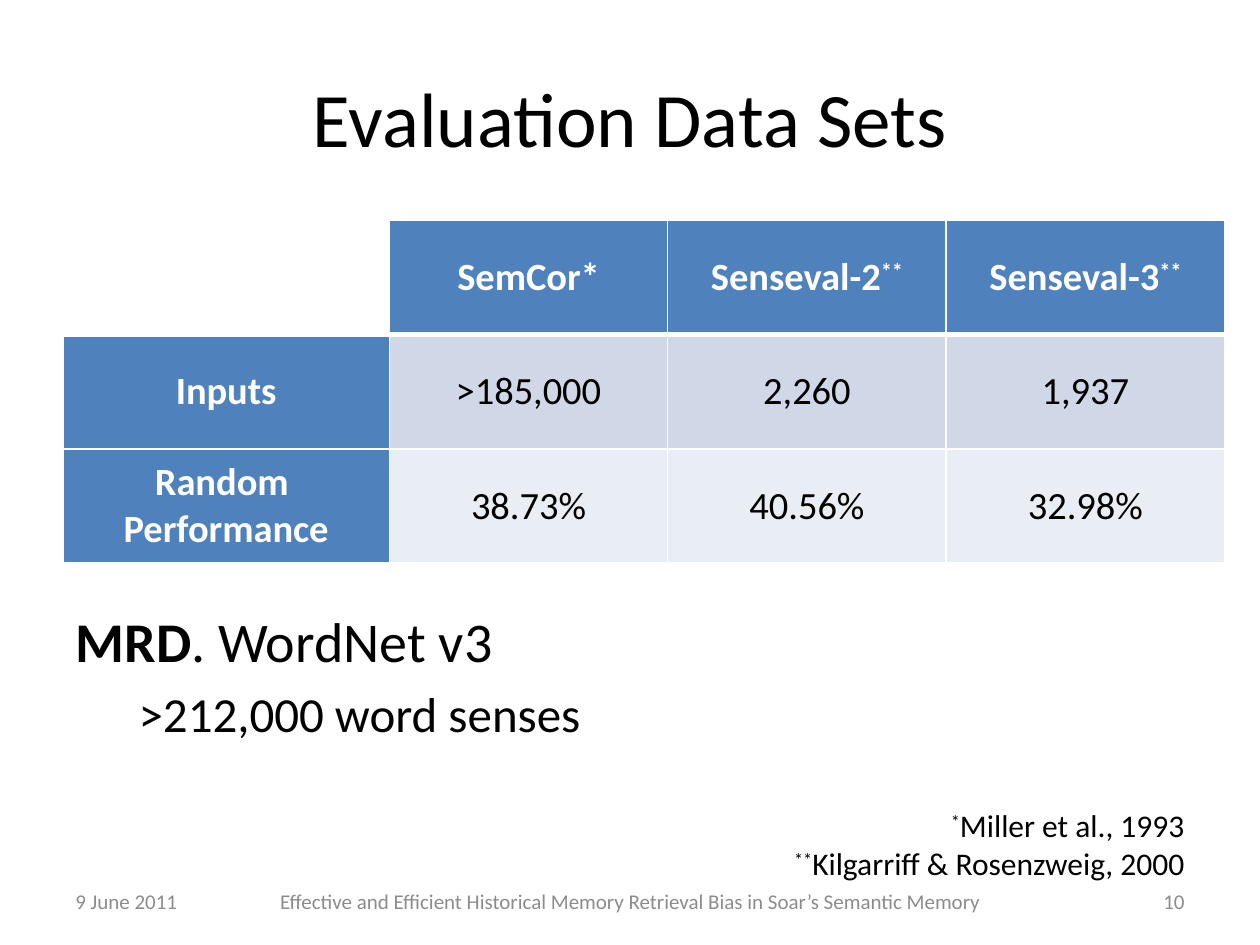
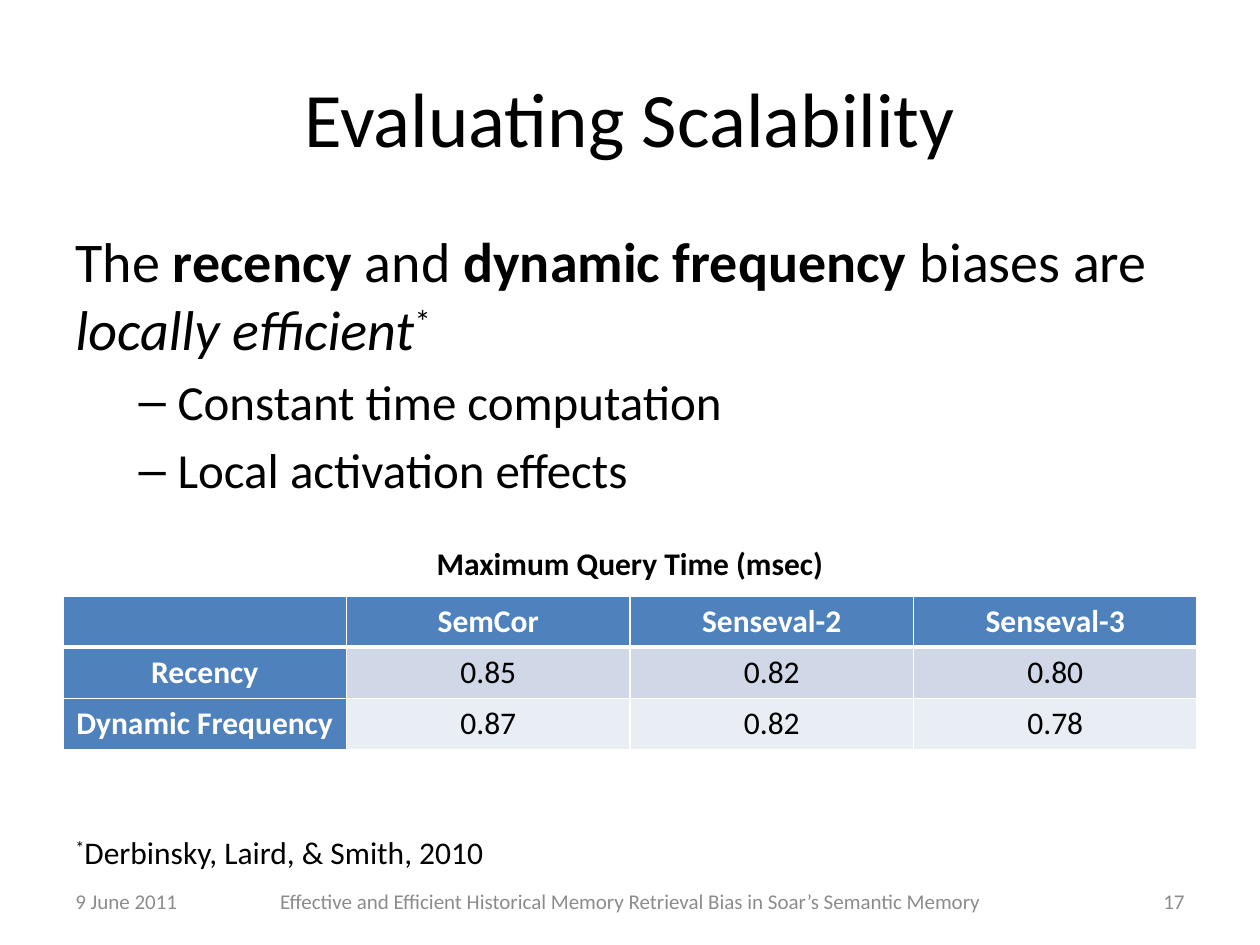
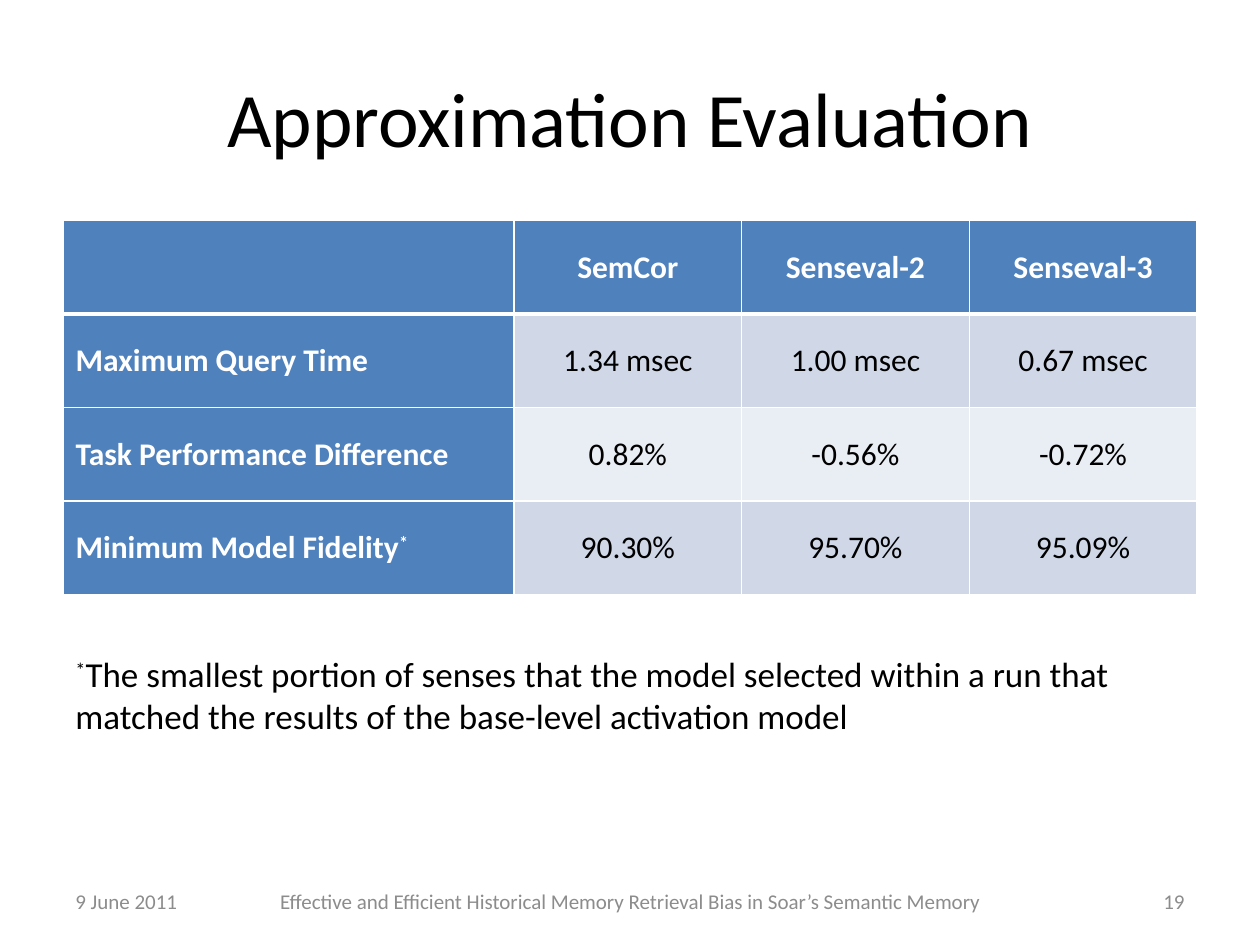
from dataclasses import dataclass
from typing import NamedTuple

from lxml import etree
from pptx import Presentation
from pptx.dml.color import RGBColor
from pptx.enum.text import MSO_ANCHOR, MSO_AUTO_SIZE, PP_ALIGN
from pptx.oxml.ns import qn
from pptx.util import Inches, Pt

LEFT, CENTER, RIGHT = PP_ALIGN.LEFT, PP_ALIGN.CENTER, PP_ALIGN.RIGHT
TOP, MIDDLE = MSO_ANCHOR.TOP, MSO_ANCHOR.MIDDLE
NO_FIT, GROW = MSO_AUTO_SIZE.NONE, MSO_AUTO_SIZE.SHAPE_TO_FIT_TEXT
TITLE_AND_CONTENT, TITLE_ONLY = 1, 5


# Shared look
@dataclass(frozen=True)
class Theme:
    font: str = "Calibri"
    ink: str = "000000"
    paper: str = "FFFFFF"
    muted: str = "8C8C8C"
    header: str = "4F81BD"
    bands: tuple[str, str] = ("D0D8E8", "E9EDF4")
    title: int = 44
    body: int = 32
    sub: int = 28
    large_cell: int = 22
    explanation: int = 20
    small: int = 18
    footer: int = 12
    rule: int = 1
    header_rule: int = 3


THEME = Theme()
DATE = "9 June 2011"
TALK = "Effective and Efficient Historical Memory Retrieval Bias in Soar’s Semantic Memory"


class Box(NamedTuple):
    left: float
    top: float
    width: float
    height: float

    def emu(self) -> list[int]:
        return [Inches(v) for v in self]


class Run(NamedTuple):
    text: str
    bold: bool = False
    italic: bool = False
    raised: bool = False


@dataclass(frozen=True)
class Para:
    runs: tuple[Run, ...]
    size: int = THEME.small
    align: PP_ALIGN = LEFT
    color: str = THEME.ink
    level: int = 0
    indent: tuple[float, float] | None = None
    bullet: str = ""
    before: float = 0


@dataclass(frozen=True)
class Grid:
    box: Box
    first_col: float
    rows: tuple[tuple[str, ...], ...]
    size: int = THEME.small
    anchor: MSO_ANCHOR = MIDDLE
    label_align: PP_ALIGN = CENTER
    corner: str = THEME.header


TITLE_BOX = Box(0.5, 0.3, 9, 1.25)


# Text
def plain(text: str, **fmt) -> Para:
    return Para((Run(text),), **fmt)


def starred(star: str, text: str, **fmt) -> Para:
    return Para((Run(star, raised=True), Run(text)), **fmt)


def sub_item(text: str, indent: tuple[float, float], bullet: str = "") -> Para:
    return Para((Run(text),), THEME.sub, level=1, indent=indent,
                bullet=bullet, before=0.2 * THEME.sub)


def set_bullet(p, para: Para) -> None:
    margin, hanging = para.indent
    pPr = p._p.get_or_add_pPr()
    pPr.set("marL", str(Inches(margin)))
    pPr.set("indent", str(Inches(hanging)))
    if para.bullet:
        etree.SubElement(pPr, qn("a:buChar")).set("char", para.bullet)
    else:
        etree.SubElement(pPr, qn("a:buNone"))


def write(tf, paras: list[Para]) -> None:
    for i, para in enumerate(paras):
        p = tf.paragraphs[0] if i == 0 else tf.add_paragraph()
        if para.indent is not None:
            set_bullet(p, para)
        layout = {"level": para.level, "alignment": para.align,
                  "space_before": Pt(para.before)}
        for name, value in layout.items():
            setattr(p, name, value)
        for run in para.runs:
            r = p.add_run()
            r.text = run.text
            look = {"name": THEME.font, "size": Pt(para.size),
                    "bold": run.bold, "italic": run.italic}
            for name, value in look.items():
                setattr(r.font, name, value)
            r.font.color.rgb = RGBColor.from_string(para.color)
            if run.raised:
                r._r.get_or_add_rPr().set("baseline", "30000")


def fill_shape(shape, box: Box, paras: list[Para], anchor: MSO_ANCHOR, fit: MSO_AUTO_SIZE) -> None:
    shape.left, shape.top, shape.width, shape.height = box.emu()
    frame = {"word_wrap": True, "vertical_anchor": anchor, "auto_size": fit}
    for name, value in frame.items():
        setattr(shape.text_frame, name, value)
    write(shape.text_frame, paras)


def add_text(s, box: Box, paras: list[Para], anchor: MSO_ANCHOR = TOP,
             fit: MSO_AUTO_SIZE = GROW) -> None:
    fill_shape(s.shapes.add_textbox(*box.emu()), box, paras, anchor, fit)


def add_body(s, box: Box, paras: list[Para]) -> None:
    fill_shape(s.placeholders[1], box, paras, TOP, NO_FIT)


# Tables
def set_borders(cell, top: int, bottom: int) -> None:
    tcPr = cell._tc.get_or_add_tcPr()
    sides = {"L": THEME.rule, "R": THEME.rule, "T": top, "B": bottom}
    for i, (side, width) in enumerate(sides.items()):
        ln = etree.Element(qn(f"a:ln{side}"), w=str(Pt(width)))
        solid = etree.SubElement(ln, qn("a:solidFill"))
        etree.SubElement(solid, qn("a:srgbClr")).set("val", THEME.paper)
        tcPr.insert(i, ln)


def cell_paras(text: str, size: int, align: PP_ALIGN, is_header: bool) -> list[Para]:
    """Lines become paragraphs; whatever follows a caret is raised."""
    color = THEME.paper if is_header else THEME.ink
    paras = []
    for line in text.split("\n"):
        base, _, mark = line.partition("^")
        runs = [Run(base, bold=is_header)]
        if mark:
            runs.append(Run(mark, bold=is_header, raised=True))
        paras.append(Para(tuple(runs), size, align, color))
    return paras


def add_grid(s, grid: Grid) -> None:
    n_rows, n_cols = len(grid.rows), len(grid.rows[0])
    table = s.shapes.add_table(n_rows, n_cols, *grid.box.emu()).table
    table.horz_banding = False
    data_col = (grid.box.width - grid.first_col) / (n_cols - 1)
    for j, col in enumerate(table.columns):
        col.width = Inches(data_col if j else grid.first_col)
    for row in table.rows:
        row.height = Inches(grid.box.height / n_rows)

    for i, texts in enumerate(grid.rows):
        for j, text in enumerate(texts):
            cell = table.cell(i, j)
            is_header = i == 0 or j == 0
            color = THEME.header if is_header else THEME.bands[(i - 1) % 2]
            if i == j == 0:
                color = grid.corner
            cell.fill.solid()
            cell.fill.fore_color.rgb = RGBColor.from_string(color)
            cell.vertical_anchor = grid.anchor
            set_borders(cell, THEME.header_rule if i == 1 else THEME.rule,
                        THEME.header_rule if i == 0 else THEME.rule)
            if text:
                align = CENTER if j else grid.label_align
                write(cell.text_frame, cell_paras(text, grid.size, align, is_header))


# Slide frame: title and footer
def add_slide(prs, layout: int, title: str, number: int):
    s = prs.slides.add_slide(prs.slide_layouts[layout])
    fill_shape(s.shapes.title, TITLE_BOX,
               [plain(title, size=THEME.title, align=CENTER)], MIDDLE, NO_FIT)
    footers = [
        (Box(0.5, 6.95, 2.33, 0.4), DATE, LEFT),
        (Box(1.92, 6.95, 6.17, 0.4), TALK, CENTER),
        (Box(7.17, 6.95, 2.33, 0.4), str(number), RIGHT),
    ]
    for box, text, align in footers:
        para = plain(text, size=THEME.footer, align=align, color=THEME.muted)
        add_text(s, box, [para], MIDDLE, NO_FIT)
    return s


# Slides
def data_sets_slide(prs) -> None:
    s = add_slide(prs, TITLE_AND_CONTENT, "Evaluation Data Sets", 10)
    add_grid(s, Grid(Box(0.5, 1.75, 9.22, 2.72), 2.59, (
        ("", "SemCor*", "Senseval-2^**", "Senseval-3^**"),
        ("Inputs", ">185,000", "2,260", "1,937"),
        ("Random \nPerformance", "38.73%", "40.56%", "32.98%"),
    ), size=THEME.large_cell, corner=THEME.paper))
    add_body(s, Box(0.5, 4.76, 9, 1.94), [
        Para((Run("MRD", bold=True), Run(". WordNet v3")), THEME.body, indent=(0, 0)),
        sub_item(">212,000 word senses", (0.5, 0)),
    ])
    add_text(s, Box(0.5, 6.35, 9, 0.71), [
        starred("*", "Miller et al., 1993", align=RIGHT),
        starred("**", "Kilgarriff & Rosenzweig, 2000", align=RIGHT),
    ])


def scalability_slide(prs) -> None:
    s = add_slide(prs, TITLE_AND_CONTENT, "Evaluating Scalability", 17)
    claim = (Run("The "), Run("recency", bold=True), Run(" and "),
             Run("dynamic frequency", bold=True), Run(" biases are "),
             Run("locally efficient", italic=True), Run("*", raised=True))
    add_body(s, Box(0.5, 1.75, 9, 4.95), [
        Para(claim, THEME.body, indent=(0, 0)),
        *(sub_item(text, (0.81, -0.31), "–")
          for text in ("Constant time computation", "Local activation effects")),
    ])
    add_grid(s, Grid(Box(0.5, 4.73, 9, 1.22), 2.25, (
        ("", "SemCor", "Senseval-2", "Senseval-3"),
        ("Recency", "0.85", "0.82", "0.80"),
        ("Dynamic Frequency", "0.87", "0.82", "0.78"),
    ), anchor=TOP))
    caption = Run("Maximum Query Time (msec)", bold=True)
    add_text(s, Box(0.5, 4.27, 9, 0.4), [Para((caption,), align=CENTER)])
    add_text(s, Box(0.5, 6.56, 4.58, 0.4), [starred("*", "Derbinsky, Laird, & Smith, 2010")])


def approximation_slide(prs) -> None:
    s = add_slide(prs, TITLE_ONLY, "Approximation Evaluation", 19)
    add_grid(s, Grid(Box(0.5, 1.75, 9, 2.97), 3.58, (
        ("", "SemCor", "Senseval-2", "Senseval-3"),
        ("Maximum Query Time", "1.34 msec", "1.00 msec", "0.67 msec"),
        ("Task Performance Difference", "0.82%", "-0.56%", "-0.72%"),
        ("Minimum Model Fidelity^*", "90.30%", "95.70%", "95.09%"),
    ), label_align=LEFT))
    add_text(s, Box(0.5, 5.13, 9, 0.77), [starred(
        "*", "The smallest portion of senses that the model selected within a run that "
        "matched the results of the base-level activation model", size=THEME.explanation)])


def main() -> None:
    prs = Presentation()
    prs.slide_width, prs.slide_height = Inches(10), Inches(7.5)
    data_sets_slide(prs)
    scalability_slide(prs)
    approximation_slide(prs)
    prs.save("out.pptx")


if __name__ == "__main__":
    main()
